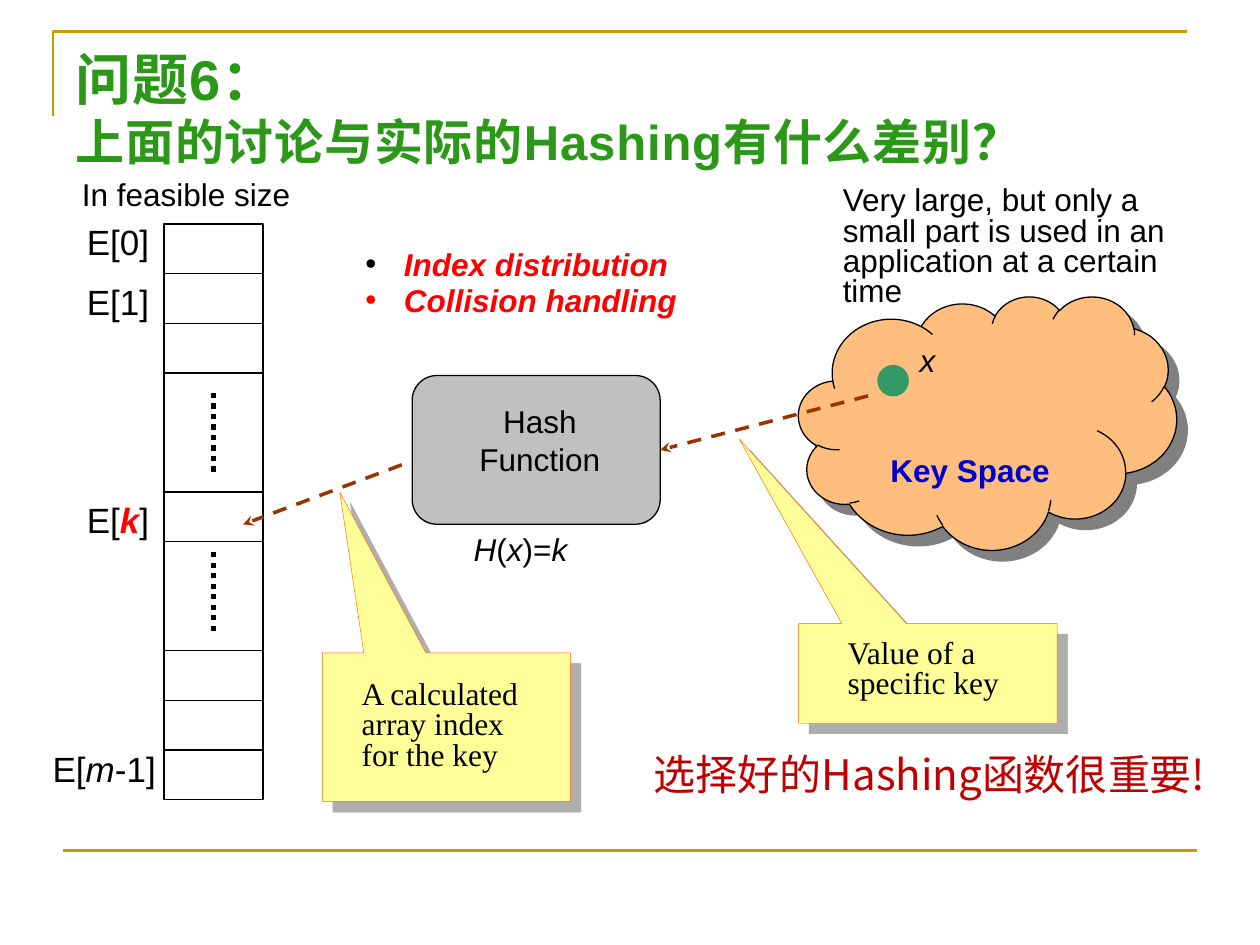
from dataclasses import dataclass
from itertools import accumulate

from lxml import etree
from pptx import Presentation
from pptx.dml.color import RGBColor
from pptx.enum.dml import MSO_LINE
from pptx.enum.shapes import MSO_CONNECTOR, MSO_SHAPE
from pptx.enum.text import MSO_ANCHOR, MSO_AUTO_SIZE, PP_ALIGN
from pptx.oxml.ns import qn
from pptx.util import Cm, Pt

STRAIGHT = MSO_CONNECTOR.STRAIGHT
DASH, DOT = MSO_LINE.DASH, MSO_LINE.ROUND_DOT
RECT, ROUND_RECT = MSO_SHAPE.RECTANGLE, MSO_SHAPE.ROUNDED_RECTANGLE
CLOUD, OVAL, CALLOUT = MSO_SHAPE.CLOUD, MSO_SHAPE.OVAL, MSO_SHAPE.RECTANGULAR_CALLOUT
LEFT, CENTER, TOP = PP_ALIGN.LEFT, PP_ALIGN.CENTER, MSO_ANCHOR.TOP
FIT_SHAPE, NO_FIT = MSO_AUTO_SIZE.SHAPE_TO_FIT_TEXT, MSO_AUTO_SIZE.NONE

ARIAL, TIMES, CJK = "Arial", "Times New Roman", "Noto Sans CJK JP"
BLACK, RED, GOLD, BROWN, YELLOW = "000000", "FF0000", "CC9900", "993300", "FFFF99"
BODY = {"size": Pt(18), "name": ARIAL, "color": BLACK, "bold": False, "italic": False}
ITALIC = {"italic": True}
RED_EMPHASIS = {"color": RED, "bold": True, "italic": True}


@dataclass
class Label:
    box: tuple
    runs: list
    fmt: dict
    spacing: float = 1.0
    align: PP_ALIGN = LEFT


@dataclass
class Block:
    kind: MSO_SHAPE
    box: tuple
    fill: str | None
    line: str
    weight: float
    shadow: tuple | None = None  # colour, opacity in percent
    adjustments: tuple = ()
    rotation: float = 0


@dataclass
class Line:
    start: tuple
    end: tuple
    color: str = BLACK
    weight: float = 0.75
    dash: MSO_LINE | None = None
    arrow: bool = False


def rgb(color: str) -> RGBColor:
    return RGBColor.from_string(color)


def sub(parent, tag: str, **attrs):
    return etree.SubElement(parent, qn(tag), attrs)


def add_run(p, text: str, fmt: dict) -> None:
    r = p.add_run()
    r.text = text
    for key, value in fmt.items():
        if key == "color":
            r.font.color.rgb = rgb(value)
        else:
            setattr(r.font, key, value)
    if any(ch > "\u2fff" for ch in text):
        sub(r.font._element, "a:ea", typeface=CJK)


def add_label(s, label: Label) -> None:
    tf = s.shapes.add_textbox(*map(Cm, label.box)).text_frame
    tf.word_wrap, tf.auto_size = True, FIT_SHAPE
    p = tf.paragraphs[0]
    p.alignment, p.line_spacing = label.align, label.spacing
    for text, change in label.runs:
        add_run(p, text, BODY | label.fmt | change)


def add_block(s, block: Block):
    sp = s.shapes.add_shape(block.kind, *map(Cm, block.box))
    sp.rotation = block.rotation
    for i, value in enumerate(block.adjustments):
        sp.adjustments[i] = value
    if block.fill:
        sp.fill.solid()
        sp.fill.fore_color.rgb = rgb(block.fill)
    else:
        sp.fill.background()
    sp.line.color.rgb = rgb(block.line)
    sp.line.width = Pt(block.weight)
    sp.shadow.inherit = False
    if block.shadow:
        color, opacity = block.shadow
        effects = sp._element.spPr.find(qn("a:effectLst"))
        shadow = sub(effects, "a:outerShdw", dist=str(Pt(8.5)), dir="2700000",
                     algn="ctr", rotWithShape="0")
        tint = sub(shadow, "a:srgbClr", val=color)
        sub(tint, "a:alpha", val=str(opacity * 1000))
    return sp


def add_line(s, line: Line):
    c = s.shapes.add_connector(STRAIGHT, *map(Cm, line.start + line.end))
    c.line.color.rgb = rgb(line.color)
    c.line.width = Pt(line.weight)
    if line.dash:
        c.line.dash_style = line.dash
    if line.arrow:
        sub(c.line._get_or_add_ln(), "a:tailEnd", type="stealth")
    sub(c._element.spPr, "a:effectLst")
    return c


def place(sp, box: tuple) -> None:
    sp.left, sp.top, sp.width, sp.height = map(Cm, box)
    tf = sp.text_frame
    tf.word_wrap, tf.auto_size, tf.vertical_anchor = True, NO_FIT, TOP


def add_frame(s) -> None:
    """Gold corner above the title and gold rule at the foot."""
    corner = s.shapes.build_freeform(Cm(1.07), Cm(2.34))
    corner.add_line_segments([(Cm(1.07), Cm(0.64)), (Cm(23.93), Cm(0.64))], close=False)
    sp = corner.convert_to_shape()
    sp.fill.background()
    sp.line.color.rgb = rgb(GOLD)
    sp.line.width = Pt(1.5)
    sp.shadow.inherit = False
    add_line(s, Line((1.27, 17.15), (24.13, 17.15), GOLD, 1.5))


def fill_title(s) -> None:
    place(s.shapes.title, (1.27, 0.76, 22.86, 3.18))
    p = s.shapes.title.text_frame.paragraphs[0]
    p.alignment = LEFT
    fmt = {"name": ARIAL, "color": "2B9818", "bold": True}
    add_run(p, "问题6：", fmt | {"size": Pt(32)})
    p.add_line_break()
    add_run(p, "上面的讨论与实际的Hashing有什么差别？", fmt | {"size": Pt(28)})
    for r in p.runs:
        r.font._element.set("spc", "50")


def fill_issues(s) -> None:
    body = s.placeholders[1]
    place(body, (7.11, 4.95, 8, 2.08))
    tf = body.text_frame
    issues = [("Index distribution", BLACK, 0), ("Collision handling", RED, 3.6)]
    for i, (text, bullet_color, before) in enumerate(issues):
        p = tf.add_paragraph() if i else tf.paragraphs[0]
        pPr = p._p.get_or_add_pPr()
        pPr.set("marL", str(Cm(0.78)))
        pPr.set("indent", str(-Cm(0.78)))
        sub(sub(pPr, "a:buClr"), "a:srgbClr", val=bullet_color)
        sub(pPr, "a:buFont", typeface=ARIAL)
        sub(pPr, "a:buChar", char="•")
        p.line_spacing, p.space_before = 0.8, Pt(before)
        add_run(p, text, BODY | RED_EMPHASIS)


def add_hash_table(s) -> None:
    left, top, width = 3.3, 4.52, 2
    row_heights = [1, 1, 1, 2.4, 1, 2.2, 1, 1, 1]
    add_block(s, Block(RECT, (left, top, width, sum(row_heights)), None, BLACK, 1))
    for y in list(accumulate(row_heights, initial=top))[1:-1]:
        add_line(s, Line((left, y), (left + width, y)))
    for y in (7.92, 11.13):
        add_line(s, Line((4.3, y), (4.3, y + 1.6), weight=3, dash=DOT))


def main() -> None:
    prs = Presentation()
    prs.slide_width, prs.slide_height = Cm(25.4), Cm(19.05)
    s = prs.slides.add_slide(prs.slide_layouts[1])
    add_frame(s)
    fill_title(s)
    fill_issues(s)

    note = {"fill": YELLOW, "line": "FF6600", "weight": 0.25,
            "shadow": ("5F5F5F", 50), "rotation": 180}
    add_block(s, Block(CALLOUT, (16.1, 12.57, 5.21, 2.01), adjustments=(0.73, 2.35), **note))
    add_block(s, Block(CLOUD, (16.1, 5.97, 7.62, 5.11), "FFBE7D", BLACK, 0.75, ("808080", 100)))
    hash_box = add_block(s, Block(ROUND_RECT, (8.31, 7.57, 5, 3), "C0C0C0", BLACK, 0.75))
    add_hash_table(s)
    add_block(s, Block(OVAL, (17.7, 7.37, 0.61, 0.61), "339966", "339966", 0.75))
    key_arrow = add_line(s, Line((17.5, 7.98), (13.31, 9.07), BROWN, 2, DASH, True))
    key_arrow.end_connect(hash_box, 3)
    add_line(s, Line((8.1, 9.37), (4.9, 10.57), BROWN, 2, DASH, True))
    add_block(s, Block(CALLOUT, (6.5, 13.16, 5, 3), adjustments=(0.43, 1.58), **note))

    index = {"size": Pt(20)}
    serif = {"name": TIMES}
    labels = [
        Label((17.7, 8.97, 4.8, 1.27), [("Key Space", {})], {"color": "0000CC", "bold": True}),
        Label((8.89, 7.98, 3.99, 2.29), [("Hash Function", {})], {}, align=CENTER),
        Label((1.5, 4.32, 3.1, 1.09), [("E[0]", {})], index),
        Label((1.5, 5.54, 3.1, 1.09), [("E[1]", {})], index),
        Label((1.5, 9.93, 3.1, 1.09), [("E[", {}), ("k", RED_EMPHASIS), ("]", {})], index),
        Label((0.81, 14.94, 3.1, 1.09), [("E[", {}), ("m", ITALIC), ("-1]", {})], index),
        Label((16.84, 12.78, 4.01, 1.5), [("Value of a specific key", {})], serif, 0.8),
        Label((7.04, 13.61, 4.19, 2.11), [("A calculated array index for the key", {})], serif, 0.8),
        Label((16.74, 3.66, 7.39, 2.72), [("Very large, but only a small part is used in an "
                                           "application at a certain time", {})], {}, 0.8),
        Label((1.4, 3.4, 6.4, 1.27), [("In feasible size", {})], {}),
        Label((18.29, 6.76, 1.4, 1.27), [("x", {})], ITALIC),
        Label((9.3, 10.57, 5.59, 1.27), [("H", ITALIC), ("(", {}), ("x", ITALIC),
                                         (")=", {}), ("k", ITALIC)], {}),
        Label((12.93, 14.96, 12.8, 1.27), [("选择好的Hashing函数很重要!", {})],
              {"size": Pt(24), "name": CJK, "color": "C00000"}),
    ]
    for label in labels:
        add_label(s, label)
    prs.save("out.pptx")


if __name__ == "__main__":
    main()
